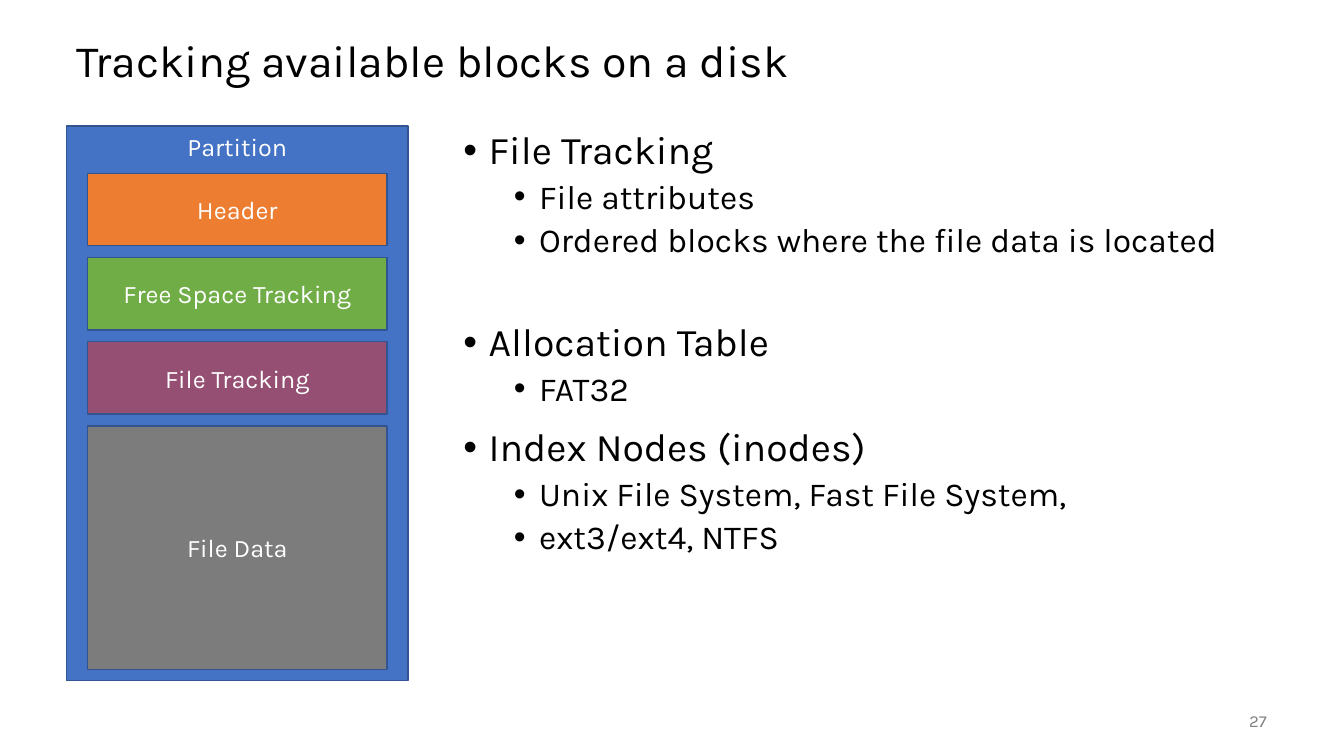
from dataclasses import dataclass

from lxml import etree
from pptx import Presentation
from pptx.dml.color import RGBColor
from pptx.enum.shapes import MSO_SHAPE
from pptx.enum.text import MSO_ANCHOR, PP_ALIGN
from pptx.oxml.ns import qn
from pptx.util import Pt

RECTANGLE = MSO_SHAPE.RECTANGLE
TOP, MIDDLE = MSO_ANCHOR.TOP, MSO_ANCHOR.MIDDLE
LEFT, CENTER, RIGHT = PP_ALIGN.LEFT, PP_ALIGN.CENTER, PP_ALIGN.RIGHT


@dataclass(frozen=True)
class Theme:
    """Hold the font, type sizes and colours of the slide."""
    font: str = "Karla"
    title_size: float = 32
    topic_size: float = 28
    detail_size: float = 24
    label_size: float = 18
    number_size: float = 12
    text: str = "000000"
    muted: str = "808080"
    label: str = "FFFFFF"
    outline: str = "325491"
    partition: str = "4472C4"
    header: str = "ED7D31"
    free_space: str = "70AD47"
    tracking: str = "954F72"
    data: str = "7C7C7C"


THEME = Theme()

TOPICS = [
    ("File Tracking", 0,
     ["File attributes", "Ordered blocks where the file data is located"]),
    ("Allocation Table", 45, ["FAT32"]),
    ("Index Nodes (inodes)", 14,
     ["Unix File System, Fast File System,", "ext3/ext4, NTFS"]),
]

BLOCKS = [
    ("Header", THEME.header, 51.8),
    ("Free Space Tracking", THEME.free_space, 51.8),
    ("File Tracking", THEME.tracking, 51.8),
    ("File Data", THEME.data, 174.2),
]


def add_words(paragraph, words, size, color, align=LEFT):
    """Add one styled run to a paragraph."""
    paragraph.alignment = align
    run = paragraph.add_run()
    run.text = words
    run.font.name = THEME.font
    run.font.size = Pt(size)
    run.font.color.rgb = RGBColor.from_string(color)


def add_frame(slide, box, anchor):
    """Add a wrapping text box and return its text frame."""
    frame = slide.shapes.add_textbox(*map(Pt, box)).text_frame
    frame.word_wrap = True
    frame.vertical_anchor = anchor
    return frame


def add_title(slide, box, words):
    """Place the slide title in its box."""
    heading = add_frame(slide, box, MIDDLE).paragraphs[0]
    heading.line_spacing = 0.9
    add_words(heading, words, THEME.title_size, THEME.text)


def add_bullet(paragraph, words, level, space_before):
    """Fill a paragraph as a bullet of the given level."""
    paragraph.level = level
    properties = paragraph._p.get_or_add_pPr()
    properties.set("marL", str(Pt(18 + 36 * level)))
    properties.set("indent", str(-Pt(18)))
    etree.SubElement(properties, qn("a:buFont")).set("typeface", "Arial")
    etree.SubElement(properties, qn("a:buChar")).set("char", "•")
    paragraph.line_spacing = 0.9
    paragraph.space_before = Pt(space_before)
    size = THEME.detail_size if level else THEME.topic_size
    add_words(paragraph, words, size, THEME.text)


def add_topics(slide, box, topics):
    """Place the two-level list of topics in its box."""
    frame = add_frame(slide, box, TOP)
    for index, (topic, space_before, details) in enumerate(topics):
        paragraph = frame.add_paragraph() if index else frame.paragraphs[0]
        add_bullet(paragraph, topic, 0, space_before)
        for detail in details:
            add_bullet(frame.add_paragraph(), detail, 1, 5)


def add_block(shapes, box, words, color, anchor=MIDDLE):
    """Add one labelled, outlined rectangle."""
    block = shapes.add_shape(RECTANGLE, *map(Pt, box))
    block.shadow.inherit = False
    block.fill.solid()
    block.fill.fore_color.rgb = RGBColor.from_string(color)
    block.line.color.rgb = RGBColor.from_string(THEME.outline)
    block.line.width = Pt(1)
    block.text_frame.word_wrap = True
    block.text_frame.vertical_anchor = anchor
    add_words(block.text_frame.paragraphs[0], words, THEME.label_size,
              THEME.label, CENTER)


def add_partition(slide, box, blocks):
    """Stack the disk blocks inside the partition as one group."""
    left, top, width, _ = box
    margin, label_height, gap = 15, 33.8, 8.35
    shapes = slide.shapes.add_group_shape().shapes
    add_block(shapes, box, "Partition", THEME.partition, TOP)
    block_top = top + label_height
    for words, color, height in blocks:
        block_box = (left + margin, block_top, width - 2 * margin, height)
        add_block(shapes, block_box, words, color)
        block_top += height + gap


def add_number(slide, box, number):
    """Place the slide number in its box."""
    paragraph = add_frame(slide, box, MIDDLE).paragraphs[0]
    add_words(paragraph, number, THEME.number_size, THEME.muted, RIGHT)


def main():
    """Build the slide and save the presentation."""
    presentation = Presentation()
    presentation.slide_width, presentation.slide_height = Pt(960), Pt(540)
    slide = presentation.slides.add_slide(presentation.slide_layouts[6])
    add_title(slide, (47.5, 18, 864, 54), "Tracking available blocks on a disk")
    add_topics(slide, (324, 90, 587.5, 396), TOPICS)
    add_number(slide, (840, 500.5, 72, 28.8), "27")
    add_partition(slide, (47.5, 90, 244, 396), BLOCKS)
    presentation.save("out.pptx")


if __name__ == "__main__":
    main()
